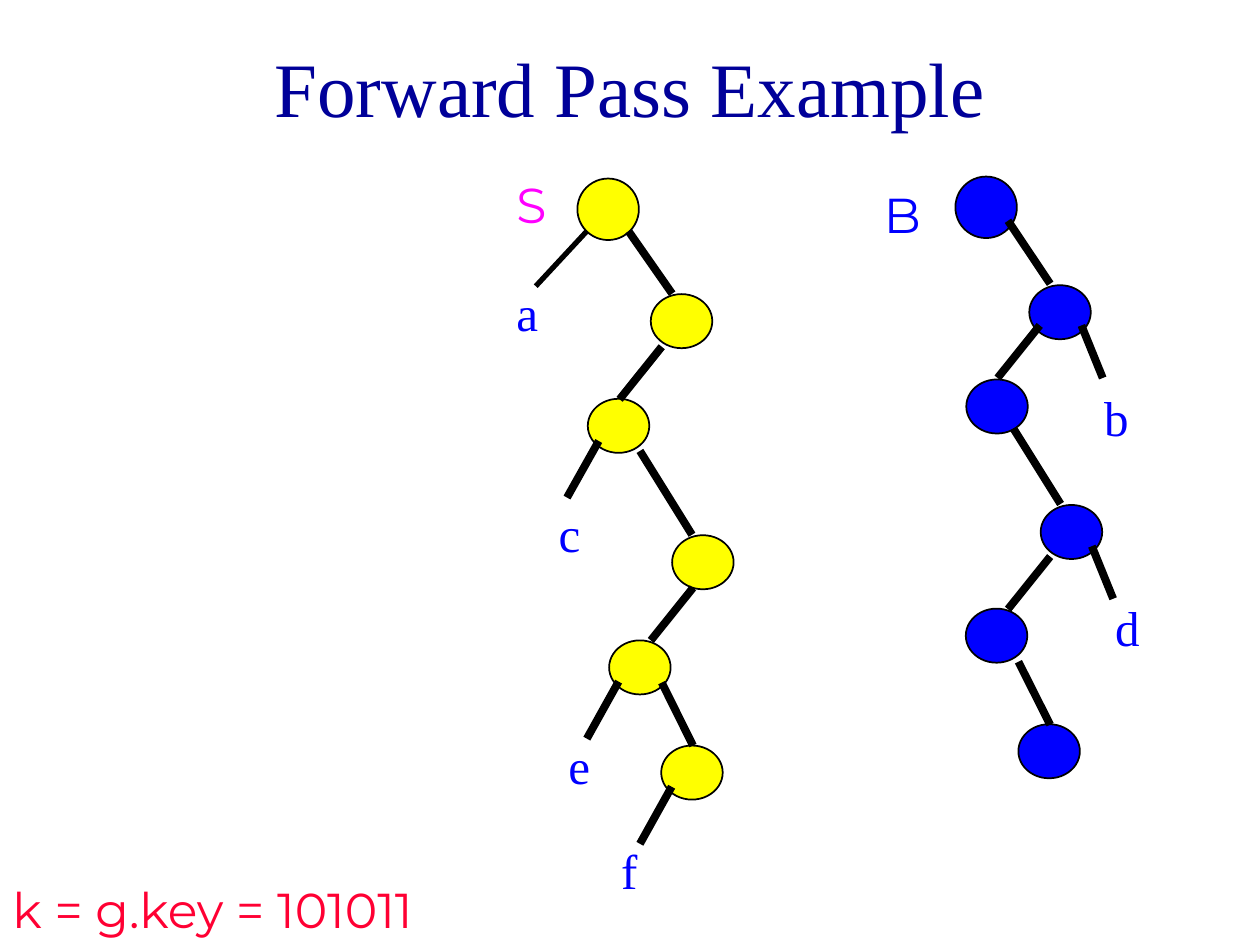
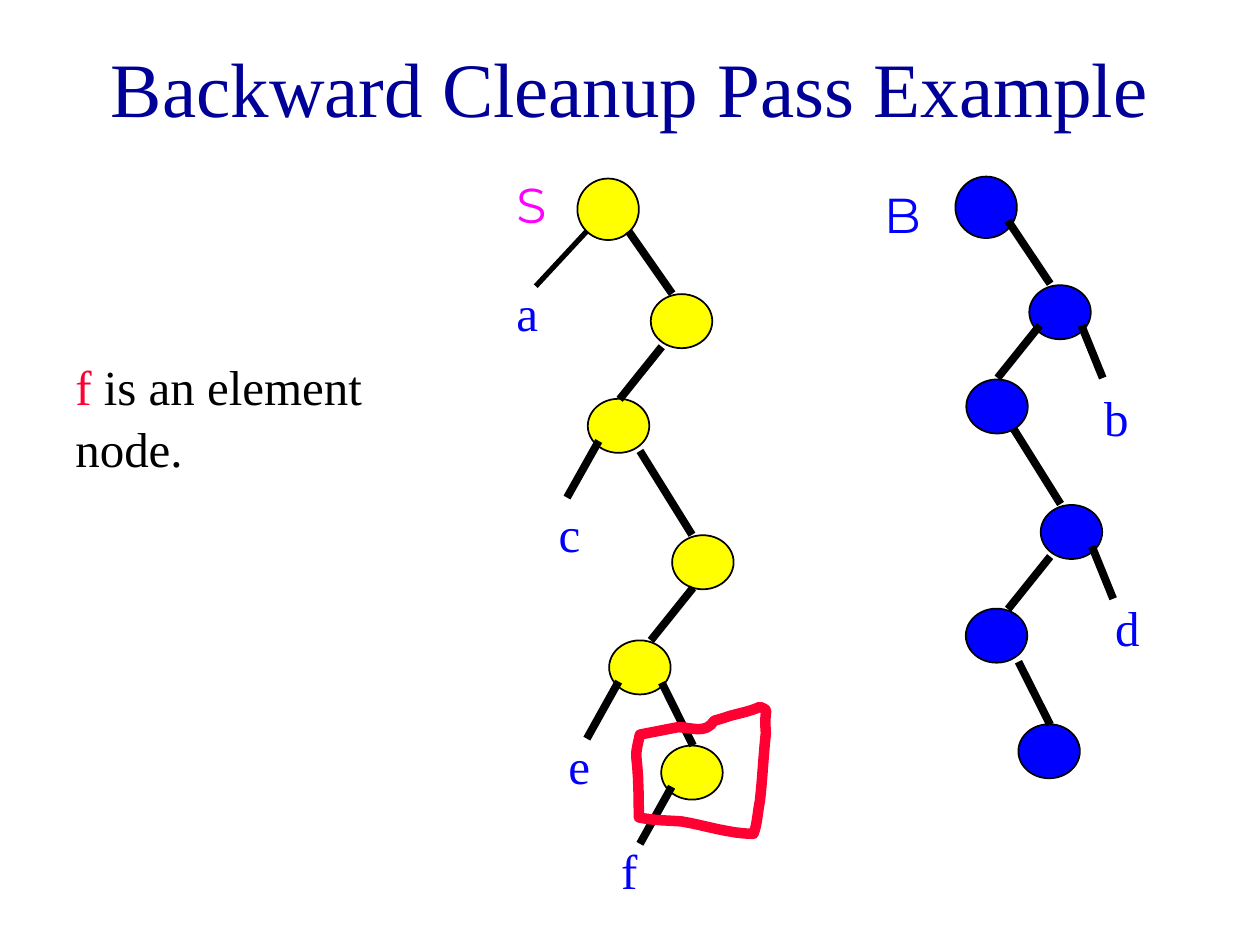
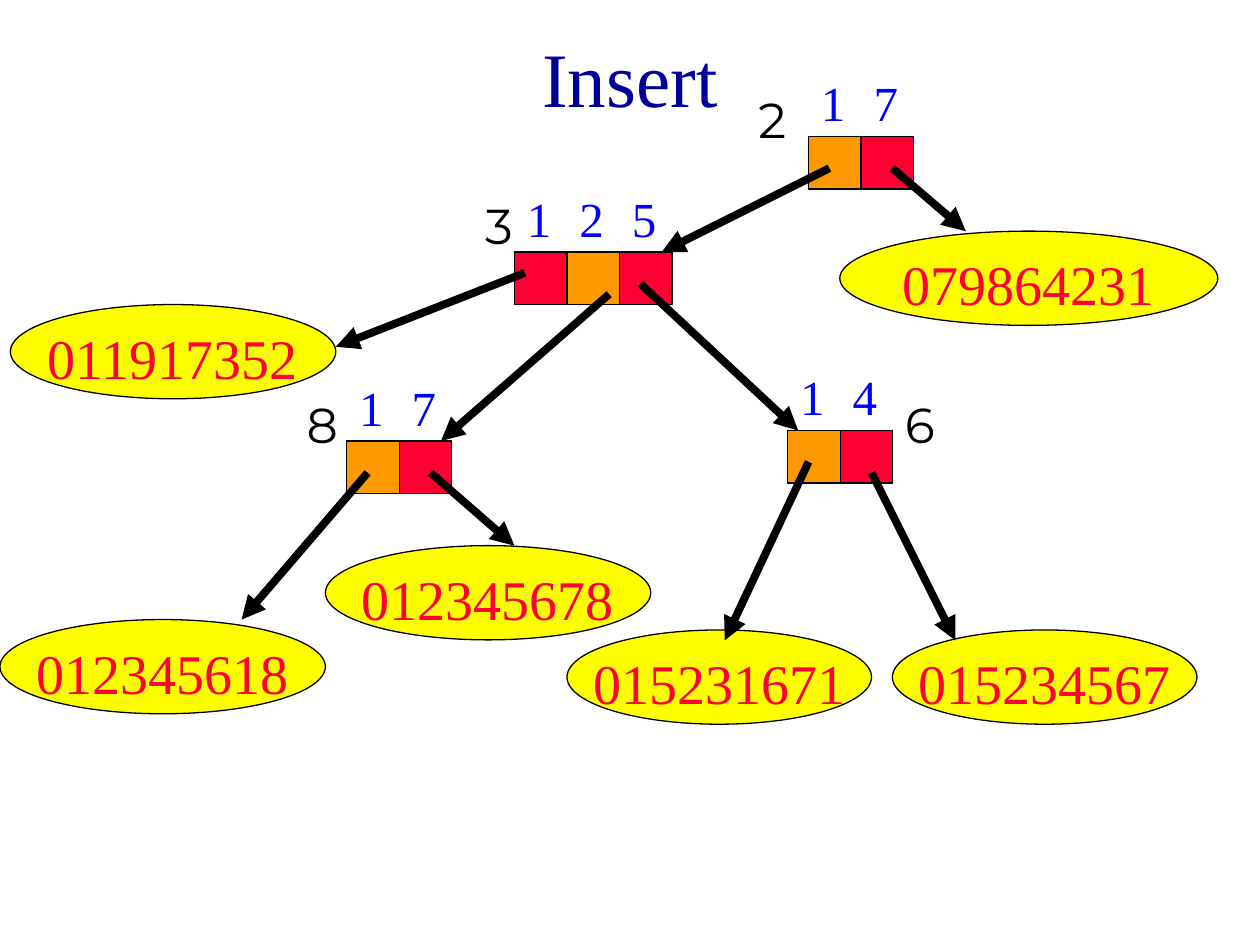
from lxml.etree import SubElement
from pptx import Presentation
from pptx.dml.color import RGBColor
from pptx.enum.shapes import MSO_CONNECTOR as CONN, MSO_SHAPE as SHAPE
from pptx.enum.text import MSO_ANCHOR as ANCHOR, MSO_AUTO_SIZE as FIT, PP_ALIGN as ALIGN
from pptx.oxml.ns import qn
from pptx.util import Cm, Pt

NAVY, BLUE, YELLOW, MAGENTA = "000099", "0000FF", "FFFF00", "FF00FF"
RED, ORANGE, BLACK = "FF0033", "FF9900", "000000"
SERIF, SANS = "Times New Roman", "Montserrat"


def rgb(value):
    return RGBColor.from_string(value)


def write(tf, runs, size, font, align=ALIGN.LEFT):
    """Fill a text frame with one paragraph of (text, colour) runs."""
    p = tf.paragraphs[0]
    p.alignment = align
    p.font.size, p.font.name = Pt(size), font
    if font == SERIF:
        p.line_spacing = 1.06
    for text, colour in runs:
        r = p.add_run()
        r.text = text
        r.font.color.rgb = rgb(colour)


# Two trees: root first, then the nodes down the path
paths = {
    YELLOW: [(11.64, 3.6), (13.12, 5.93), (11.85, 8.04),
             (13.55, 10.79), (12.28, 12.91), (13.33, 15.03)],
    BLUE: [(19.26, 3.56), (20.75, 5.75), (19.48, 7.65),
           (20.98, 10.18), (19.47, 12.27), (20.53, 14.6)],
}
# Shapes are kind, x, y, width, height, fill, outline width, text
tree_nodes = [(SHAPE.OVAL, x, y, 1.24, 1.09 if i else 1.24, fill, 1, "")
              for fill, path in paths.items() for i, (x, y) in enumerate(path)]
tree_edges = [
    (11.83, 4.66, 10.8, 5.77), (12.67, 4.66, 13.55, 5.92),
    (13.34, 6.99, 12.49, 8.05), (12.07, 8.89, 11.43, 10.03),
    (12.9, 9.09, 13.95, 10.78), (13.97, 11.85, 13.12, 12.91),
    (12.47, 13.74, 11.83, 14.89), (13.34, 13.76, 13.97, 15.03),
    (13.54, 15.86, 12.9, 17.01),
    (20.32, 4.45, 21.17, 5.72), (20.96, 6.56, 20.11, 7.62),
    (21.8, 6.56, 22.23, 7.62), (20.43, 8.64, 21.38, 10.16),
    (21.17, 11.22, 20.32, 12.28), (22.01, 11.01, 22.44, 12.07),
    (20.53, 13.34, 21.17, 14.61),
]
# Labels are x, y, width, height, font, runs
tree_labels = [(x, y, 1.27, 1.44, SERIF, [(text, BLUE)]) for text, x, y in [
    ("a", 10.16, 5.5), ("b", 22.01, 7.62), ("c", 11.01, 9.96),
    ("d", 22.23, 11.85), ("e", 11.21, 14.64), ("f", 12.27, 16.75)]]
tree_labels += [(10.16, 3.39, 1.46, 1.44, SANS, [("S", MAGENTA)]),
                (17.57, 3.6, 1.46, 1.44, SANS, [("B", BLUE)])]
key_label = (0, 17.6, 13.77, 1.45, SANS, [("k = g.key = 101011", RED)])
note = (1.27, 6.99, 7.62, 2.62, SERIF, [("f ", RED), ("is an element node.", BLACK)])

# Digit trie: element ovals, then branch nodes made of square cells
trie_shapes = [(SHAPE.OVAL, x, y, w, 1.9, YELLOW, 0.75, text) for text, x, y, w in [
    ("011917352", 0.21, 6.14, 6.56), ("012345678", 6.56, 11, 6.56),
    ("012345618", 0, 12.49, 6.56), ("015231671", 11.43, 12.7, 6.14),
    ("015234567", 17.99, 12.7, 6.14), ("079864231", 16.93, 4.66, 7.62)]]
trie_labels = []
CELL = 1.06
for x, y, digits, fills, tag, tag_x, tag_y in [
        (16.3, 2.75, "17", (ORANGE, RED), "2", 15.04, 1.69),
        (10.37, 5.08, "125", (RED, ORANGE, RED), "3", 9.53, 3.81),
        (6.99, 8.89, "17", (ORANGE, RED), "8", 5.93, 7.83),
        (15.88, 8.68, "14", (ORANGE, RED), "6", 17.99, 7.83)]:
    for i, (digit, fill) in enumerate(zip(digits, fills)):
        left = x + i * CELL
        trie_shapes.append((SHAPE.RECTANGLE, left, y, CELL, CELL, fill, 0.75, ""))
        trie_labels.append((left, y - 1.48, 0.89, 1.44, SERIF, [(digit, BLUE)]))
    trie_labels.append((tag_x, tag_y, 1.69, 1.44, SANS, [(tag, BLACK)]))
trie_arrows = [
    (16.72, 3.39, 13.34, 5.08), (17.99, 3.39, 19.47, 4.66),
    (10.58, 5.5, 6.77, 6.99), (12.28, 5.93, 8.89, 8.89),
    (12.91, 5.72, 16.09, 8.68), (7.41, 9.53, 4.87, 12.49),
    (8.68, 9.53, 10.37, 11), (16.3, 9.31, 14.61, 12.91),
    (17.57, 9.53, 19.26, 12.91),
]

prs = Presentation()
prs.slide_width, prs.slide_height = Cm(25.4), Cm(19.05)

for title, title_h, shapes, lines, arrows, labels in [
        ("Forward Pass Example", 2.54, tree_nodes, tree_edges, False,
         tree_labels + [key_label]),
        ("Backward Cleanup Pass Example", 2.54, tree_nodes, tree_edges, False,
         tree_labels + [note]),
        ("Insert", 2.12, trie_shapes, trie_arrows, True, trie_labels)]:
    s = prs.slides.add_slide(prs.slide_layouts[5])

    # Title
    head = s.shapes.title
    head.left, head.top, head.width, head.height = Cm(1.9), Cm(0.43), Cm(21.6), Cm(title_h)
    head.text_frame.vertical_anchor = ANCHOR.MIDDLE
    head.text_frame.auto_size = FIT.NONE
    write(head.text_frame, [(title, NAVY)], 44, SERIF, ALIGN.CENTER)

    # Nodes
    for kind, x, y, w, h, fill, outline, text in shapes:
        sp = s.shapes.add_shape(kind, Cm(x), Cm(y), Cm(w), Cm(h))
        sp.shadow.inherit = False
        sp.fill.solid()
        sp.fill.fore_color.rgb = rgb(fill)
        sp.line.color.rgb = rgb(BLACK)
        sp.line.width = Pt(outline)
        if text:
            tf = sp.text_frame
            tf.word_wrap = False
            tf.vertical_anchor = ANCHOR.MIDDLE
            tf.margin_top = Cm(0.25)
            write(tf, [(text, RED)], 32, SERIF, ALIGN.CENTER)

    # Edges; the one to the first leaf is thinner
    for edge in lines:
        cn = s.shapes.add_connector(CONN.STRAIGHT, *map(Cm, edge))
        cn.line.color.rgb = rgb(BLACK)
        cn.line.width = Pt(3 if edge == tree_edges[0] else 4.5)
        if arrows:
            SubElement(cn.line._get_or_add_ln(), qn("a:tailEnd"), type="triangle")
        SubElement(cn._element.spPr, qn("a:effectLst"))

    # Labels
    for x, y, w, h, font, runs in labels:
        tf = s.shapes.add_textbox(Cm(x), Cm(y), Cm(w), Cm(h)).text_frame
        tf.word_wrap = True
        write(tf, runs, 28, font)

# Hand-drawn ring round the last yellow node: Bezier controls and end points
ring_start = (15.32, 14.25)
ring_curves = [
    ((15.11, 14.35), (14.88, 14.38), (14.66, 14.45)),
    ((14.58, 14.48), (14.4, 14.53), (14.4, 14.53)),
    ((14.22, 14.81), (13.94, 14.66), (13.67, 14.66)),
    ((13.67, 14.66), (12.9, 14.81), (12.9, 14.81)),
    ((12.75, 15.47), (12.88, 14.94), (12.88, 16.48)),
    ((13.16, 16.54), (13.46, 16.54), (13.74, 16.56)),
    ((14.22, 16.64), (14.71, 16.81), (15.19, 16.81)),
    ((15.27, 16.61), (15.27, 16.38), (15.32, 16.15)),
    ((15.37, 15.7), (15.39, 15.24), (15.44, 14.78)),
    ((15.39, 14.25), (15.54, 14.35), ring_start),
]
STEPS = 8
points, a = [], ring_start
for b, c, d in ring_curves:
    for t in (i / STEPS for i in range(1, STEPS + 1)):
        u = 1 - t
        points.append(tuple(
            Cm(u**3 * a[k] + 3 * u * u * t * b[k] + 3 * u * t * t * c[k] + t**3 * d[k])
            for k in (0, 1)))
    a = d
ring = prs.slides[1].shapes.build_freeform(*map(Cm, ring_start))
ring.add_line_segments(points, close=True)
sp = ring.convert_to_shape()
sp.shadow.inherit = False
sp.fill.background()
sp.line.color.rgb = rgb(RED)
sp.line.width = Pt(6)
SubElement(sp.line._get_or_add_ln(), qn("a:round"))

prs.save("out.pptx")
